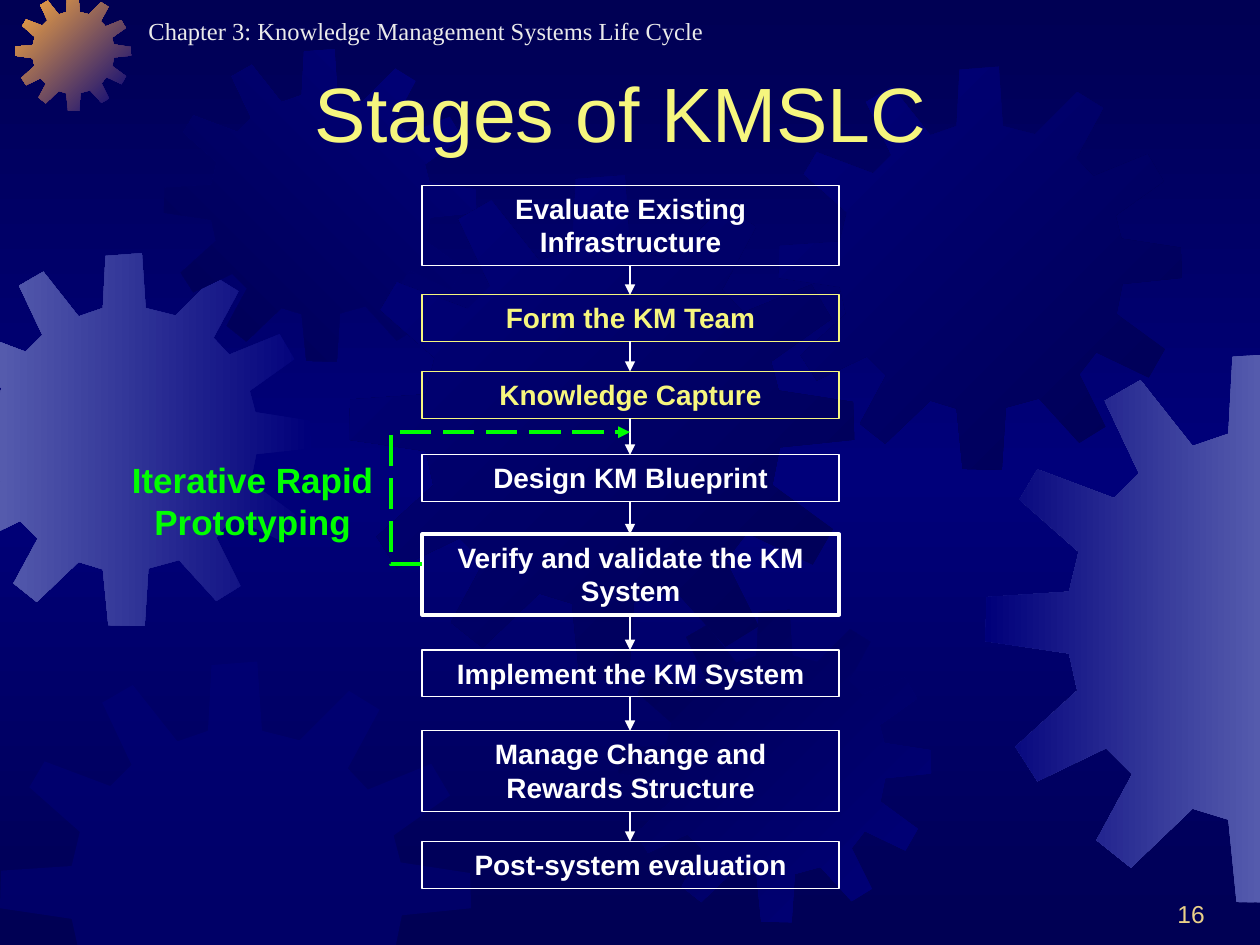
from copy import deepcopy
from dataclasses import dataclass

from lxml.etree import SubElement
from pptx import Presentation
from pptx.dml.color import RGBColor
from pptx.enum.dml import MSO_LINE
from pptx.enum.shapes import MSO_CONNECTOR, MSO_SHAPE
from pptx.enum.text import MSO_ANCHOR, MSO_AUTO_SIZE, PP_ALIGN
from pptx.oxml.ns import qn
from pptx.util import Inches, Pt

COLUMNS, ROWS = 100, 75  # square grid cells of a tenth of an inch


@dataclass(frozen=True)
class Theme:
    night: str = "000054"
    navy: str = "00007A"
    steel: str = "555BAD"
    orange: str = "FCAB40"
    white: str = "FFFFFF"
    yellow: str = "F6F67E"
    green: str = "00FF00"
    silver: str = "EAEAEA"
    sand: str = "EBD189"
    sans: str = "Arial"
    serif: str = "Times New Roman"
    title: int = 44
    callout: int = 20
    stage: int = 16
    small: int = 14


THEME = Theme()

GEAR_SIZE = 401
GEAR_OUTLINE = [
    (255, 67), (223, 59), (219, 0), (180, 3), (177, 59), (151, 68), (113, 20), (87, 35),
    (112, 88), (94, 106), (38, 85), (25, 107), (68, 145), (61, 174), (1, 178), (0, 210),
    (61, 219), (67, 246), (22, 287), (38, 312), (88, 288), (107, 307), (81, 355), (106, 375),
    (151, 332), (177, 340), (183, 400), (222, 401), (226, 339), (259, 330), (299, 374),
    (325, 358), (299, 306), (316, 284), (368, 309), (384, 281), (336, 246), (342, 216),
    (401, 210), (400, 180), (341, 171), (335, 148), (383, 114), (367, 87), (313, 109),
    (296, 91), (323, 41), (297, 25),
]

# left column, top row, size, gradient colours, clockwise gradient angle
GEARS = [
    (-4.9, 20.1, 29.6, (THEME.navy, THEME.steel), 180),
    (1.2, -0.4, 9.2, (THEME.navy, THEME.orange), 225),
    (13, 3.9, 24.8, (THEME.navy, THEME.night), 135),
    (27.7, 13.9, 40.1, (THEME.night, THEME.navy), 225),
    (0, 52.5, 37.4, (THEME.navy,), 0),
    (49.1, 48.4, 24.8, (THEME.navy, THEME.night), 225),
    (61.8, 5.3, 32, (THEME.night, THEME.navy), 225),
    (78.2, 28, 43.7, (THEME.steel, THEME.navy), 180),
]

# text, top row, height, colour, line width
STAGES = [
    ("Evaluate Existing Infrastructure", 14.7, 6.4, THEME.white, 0.75),
    ("Form the KM Team", 23.4, 3.7, THEME.yellow, 0.75),
    ("Knowledge Capture", 29.5, 3.7, THEME.yellow, 0.75),
    ("Design KM Blueprint", 36.1, 3.7, THEME.white, 0.75),
    ("Verify and validate the KM System", 42.4, 6.4, THEME.white, 2),
    ("Implement the KM System", 51.6, 3.7, THEME.white, 0.75),
    ("Manage Change and Rewards Structure", 58, 6.4, THEME.white, 0.75),
    ("Post-system evaluation", 66.8, 3.7, THEME.white, 0.75),
]
STAGE_LEFT, STAGE_WIDTH = 33.5, 33.1


def grid(*cells):
    return [Inches(cell / 10) for cell in cells]


def clip(points, axis, limit, side):
    """Cut a closed outline at a limit; side is 1 to keep what is above it, -1 below."""
    kept = []
    for start, end in zip(points, points[1:] + points[:1]):
        before, after = (side * (point[axis] - limit) for point in (start, end))
        if before >= 0:
            kept.append(start)
        if before * after < 0:
            share = before / (before - after)
            kept.append(tuple(a + share * (b - a) for a, b in zip(start, end)))
    return kept


def set_gradient(fill, colors, angle):
    fill.gradient()
    fill.gradient_angle = (360 - angle) % 360
    for stop, color in zip(fill.gradient_stops, colors):
        stop.color.rgb = RGBColor.from_string(color)


class SlideBuilder:
    def __init__(self, slide, theme):
        self.slide = slide
        self.shapes = slide.shapes
        self.theme = theme

    def background(self, edge, middle):
        set_gradient(self.slide.background.fill, (edge, middle), 90)
        stops = next(self.slide.element.iter(qn("a:gsLst")))
        stops.append(deepcopy(stops[0]))
        for stop, position in zip(stops, (0, 50000, 100000)):
            stop.set("pos", str(position))

    def gear(self, left, top, size, colors, angle):
        points = [(left + x * size / GEAR_SIZE, top + y * size / GEAR_SIZE)
                  for x, y in GEAR_OUTLINE]
        for axis, limit, side in ((0, 0, 1), (0, COLUMNS, -1), (1, 0, 1), (1, ROWS, -1)):
            points = clip(points, axis, limit, side)
        corners = [grid(*point) for point in points]
        builder = self.shapes.build_freeform(*corners[0])
        builder.add_line_segments(corners[1:], close=True)
        gear = builder.convert_to_shape()
        gear.shadow.inherit = False
        gear.line.fill.background()
        if len(colors) > 1:
            set_gradient(gear.fill, colors, angle)
        else:
            gear.fill.solid()
            gear.fill.fore_color.rgb = RGBColor.from_string(colors[0])
            color = next(gear.element.spPr.iter(qn("a:srgbClr")))
            SubElement(color, qn("a:alpha")).set("val", "50000")

    def fill_text(self, box, text, size, color, font=None, bold=False,
                  align=PP_ALIGN.LEFT, anchor=MSO_ANCHOR.TOP, indent=0):
        frame = box.text_frame
        frame.word_wrap = True
        frame.auto_size = MSO_AUTO_SIZE.NONE
        frame.vertical_anchor = anchor
        para = frame.paragraphs[0]
        para.alignment = align
        if indent:
            para._p.get_or_add_pPr().set("marL", str(grid(indent)[0]))
        span = para.add_run()
        span.text = text
        span.font.name = font or self.theme.sans
        span.font.size = Pt(size)
        span.font.bold = bold
        span.font.color.rgb = RGBColor.from_string(color)

    def text(self, left, top, width, height, *content, **style):
        box = self.shapes.add_textbox(*grid(left, top, width, height))
        self.fill_text(box, *content, **style)

    def stage(self, text, top, height, color, weight):
        box = self.shapes.add_shape(
            MSO_SHAPE.RECTANGLE, *grid(STAGE_LEFT, top, STAGE_WIDTH, height))
        box.shadow.inherit = False
        box.fill.background()
        box.line.color.rgb = RGBColor.from_string(color)
        box.line.width = Pt(weight)
        self.fill_text(box, text, self.theme.stage, color, bold=True, align=PP_ALIGN.CENTER)

    def arrow(self, start, end, color, weight, kind=MSO_CONNECTOR.STRAIGHT, dash=None, bend=None):
        """Draw an arrow; bend is the elbow's place as a share of the arrow's width."""
        arrow = self.shapes.add_connector(kind, *grid(*start, *end))
        arrow.line.color.rgb = RGBColor.from_string(color)
        arrow.line.width = Pt(weight)
        if dash:
            arrow.line.dash_style = dash
        properties = arrow._element.spPr
        SubElement(properties.find(qn("a:ln")), qn("a:tailEnd")).set("type", "triangle")
        SubElement(properties, qn("a:effectLst"))
        if bend is not None:
            guide = SubElement(next(properties.iter(qn("a:avLst"))), qn("a:gd"))
            guide.set("name", "adj1")
            guide.set("fmla", f"val {round(bend * 100000)}")


def main():
    deck = Presentation()
    deck.slide_width, deck.slide_height = grid(COLUMNS, ROWS)
    page = SlideBuilder(deck.slides.add_slide(deck.slide_layouts[6]), THEME)

    page.background(THEME.night, THEME.navy)
    for gear in GEARS:
        page.gear(*gear)

    page.text(0.8, 0.8, 71.7, 3.4, "Chapter 3: Knowledge Management Systems Life Cycle",
              THEME.small, THEME.silver, font=THEME.serif, indent=10)
    page.text(24, 0.5, 95.8, 12.5, "Stages of KMSLC", THEME.title, THEME.yellow,
              anchor=MSO_ANCHOR.BOTTOM)

    for stage in STAGES:
        page.stage(*stage)
    middle = COLUMNS / 2
    for (_, top, height, *_), (_, next_top, *_) in zip(STAGES, STAGES[1:]):
        page.arrow((middle, top + height), (middle, next_top), THEME.white, 0.75)

    page.arrow((STAGE_LEFT, 44.8), (middle, 34.3), THEME.green, 2.25,
               kind=MSO_CONNECTOR.ELBOW, dash=MSO_LINE.LONG_DASH, bend=-0.15)
    page.text(9, 35.9, 22.1, 7.7, "Iterative Rapid Prototyping", THEME.callout, THEME.green,
              bold=True, align=PP_ALIGN.CENTER)
    page.text(75.8, 69.2, 20.8, 5, "16", THEME.small, THEME.sand,
              align=PP_ALIGN.RIGHT, anchor=MSO_ANCHOR.BOTTOM)
    deck.save("out.pptx")


if __name__ == "__main__":
    main()
